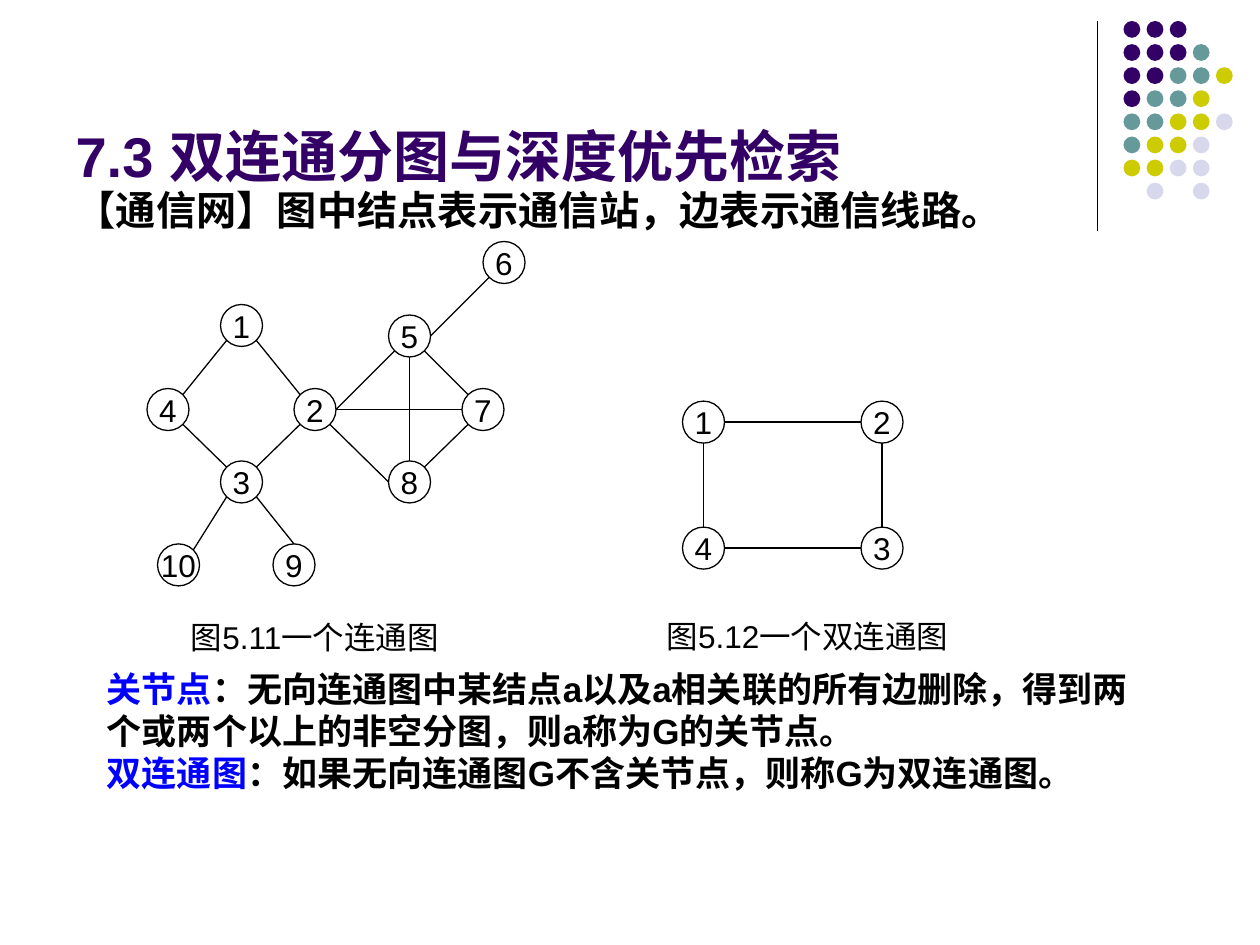
"""Build a slide that introduces articulation points and biconnected graphs."""
import pptx
import pptx.util
import pptx.dml.color
import pptx.enum.shapes
import pptx.enum.text
import pptx.oxml.ns
import lxml.etree

PX = 7620
COLORS = {
    "purple": "330066", "teal": "669999", "olive": "CCCC00",
    "lilac": "D8D8EC", "black": "000000", "white": "FFFFFF", "blue": "0000FF",
}
LEFT = pptx.enum.text.PP_ALIGN.LEFT
CENTER = pptx.enum.text.PP_ALIGN.CENTER
TOP = pptx.enum.text.MSO_ANCHOR.TOP
MIDDLE = pptx.enum.text.MSO_ANCHOR.MIDDLE
BOTTOM = pptx.enum.text.MSO_ANCHOR.BOTTOM


def write(frame, text, color="black", size=18, bold=False, align=LEFT,
          anchor=TOP, wrap=True, lead="", lead_color="blue", new=False):
    frame.auto_size = pptx.enum.text.MSO_AUTO_SIZE.NONE
    frame.word_wrap = wrap
    frame.vertical_anchor = anchor
    paragraph = frame.add_paragraph() if new else frame.paragraphs[0]
    paragraph.alignment = align
    paragraph.space_before = pptx.util.Pt(0)
    for words, shade in ((lead, lead_color), (text, color)):
        if words:
            run = paragraph.add_run()
            run.text = words
            run.font.name = "Arial"
            run.font.size = pptx.util.Pt(size)
            run.font.bold = bold
            run.font.color.rgb = pptx.dml.color.RGBColor.from_string(COLORS[shade])
    return paragraph


def add_disc(left, top, size, fill):
    disc = slide.shapes.add_shape(
        pptx.enum.shapes.MSO_SHAPE.OVAL, left * PX, top * PX, size * PX, size * PX)
    disc.shadow.inherit = False
    disc.fill.solid()
    disc.fill.fore_color.rgb = pptx.dml.color.RGBColor.from_string(COLORS[fill])
    disc.line.fill.background()
    return disc


deck = pptx.Presentation()
deck.slide_width, deck.slide_height = 1200 * PX, 900 * PX
slide = deck.slides.add_slide(deck.slide_layouts[1])

title, network = slide.placeholders
title.left, title.top, title.width, title.height = 60 * PX, 66 * PX, 990 * PX, 120 * PX
write(title.text_frame, "7.3 双连通分图与深度优先检索", color="purple", size=32,
      bold=True, anchor=BOTTOM)

network.left, network.top, network.width, network.height = 60 * PX, 170 * PX, 980 * PX, 80 * PX
intro = write(network.text_frame, "【通信网】图中结点表示通信站，边表示通信线路。", size=23, bold=True)
intro_format = intro._p.get_or_add_pPr()
intro_format.set("marL", str(45 * PX))
intro_format.set("indent", str(-45 * PX))
lxml.etree.SubElement(intro_format, pptx.oxml.ns.qn("a:buNone"))

dot_colors = {"P": "purple", "T": "teal", "O": "olive", "L": "lilac"}
dot_rows = ["PPP", "PPPT", "PPTTO", "PTTO", "TTOOL", "TOOL", "OOLL", " L L"]
for row, codes in enumerate(dot_rows):
    for column, code in enumerate(codes):
        if code in dot_colors:
            add_disc(1070 + 22 * column, 20 + 22 * row, 16, dot_colors[code])

NODE = 40
connected = {
    1: (210, 290), 4: (140, 370), 2: (280, 370), 3: (210, 439), 10: (150, 518),
    9: (260, 518), 5: (370, 300), 6: (460, 230), 7: (440, 370), 8: (370, 439),
}
connected_edges = [
    (1, "SW", 4, "NE"), (1, "SE", 2, "NW"), (8, "N", 5, "S"), (7, "SW", 8, "NE"),
    (6, "SW", 5, "E"), (5, "SW", 2, "E"), (5, "SE", 7, "NW"), (2, "SE", 8, "W"),
    (2, "SW", 3, "NE"), (4, "SE", 3, "NW"), (3, "SW", 10, "NE"), (3, "SE", 9, "N"),
    (2, "E", 7, "W"),
]
biconnected = {1: (650, 382), 2: (820, 382), 4: (650, 502), 3: (820, 502)}
biconnected_edges = [(1, "S", 4, "N"), (1, "E", 2, "W"), (2, "S", 3, "N"), (4, "E", 3, "W")]
ports = {
    "N": (20, 0), "S": (20, 40), "W": (0, 20), "E": (40, 20),
    "NW": (6, 6), "NE": (34, 6), "SW": (6, 34), "SE": (34, 34),
}

lines = [(1045, 20, 1045, 220)]
for nodes, edges in ((connected, connected_edges), (biconnected, biconnected_edges)):
    for number, (left, top) in nodes.items():
        node = add_disc(left, top, NODE, "white")
        node.line.color.rgb = pptx.dml.color.RGBColor.from_string(COLORS["black"])
        node.line.width = pptx.util.Pt(0.75)
        write(node.text_frame, str(number), align=CENTER, anchor=MIDDLE, wrap=False)
    for start, start_port, end, end_port in edges:
        ends = ((start, start_port), (end, end_port))
        lines.append([nodes[name][axis] + ports[port][axis]
                      for name, port in ends for axis in (0, 1)])

for x1, y1, x2, y2 in lines:
    edge = slide.shapes.add_connector(
        pptx.enum.shapes.MSO_CONNECTOR.STRAIGHT, x1 * PX, y1 * PX, x2 * PX, y2 * PX)
    edge.line.color.rgb = pptx.dml.color.RGBColor.from_string(COLORS["black"])
    edge.line.width = pptx.util.Pt(0.75)
    lxml.etree.SubElement(edge._element.spPr, pptx.oxml.ns.qn("a:effectLst"))

for caption, left, top, width in (("图5.11一个连通图", 170, 583, 276),
                                  ("图5.12一个双连通图", 623, 582, 306)):
    label = slide.shapes.add_textbox(left * PX, top * PX, width * PX, 48 * PX)
    write(label.text_frame, caption, wrap=False)

definitions = slide.shapes.add_textbox(90 * PX, 630 * PX, 1000 * PX, 132 * PX).text_frame
write(definitions, "：无向连通图中某结点a以及a相关联的所有边删除，得到两个或两个以上的非空分图，则a称为G的关节点。",
      lead="关节点", size=20, bold=True)
write(definitions, "：如果无向连通图G不含关节点，则称G为双连通图。",
      lead="双连通图", size=20, bold=True, new=True)

deck.save("out.pptx")
